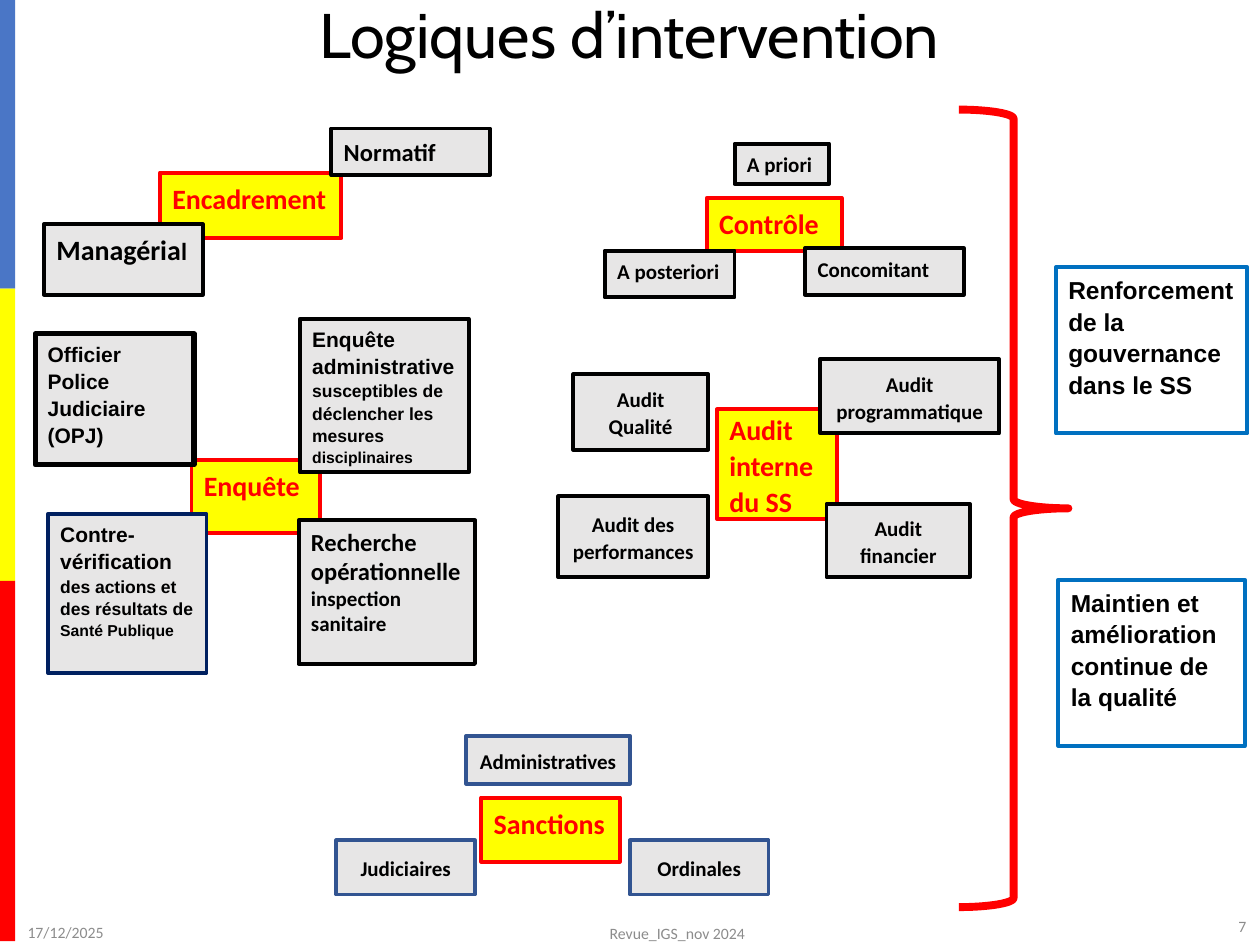
from pptx import Presentation
from pptx.dml.color import RGBColor
from pptx.enum.shapes import MSO_SHAPE
from pptx.enum.text import MSO_ANCHOR, MSO_AUTO_SIZE, PP_ALIGN
from pptx.util import Inches, Pt

RECT, BRACE = MSO_SHAPE.RECTANGLE, MSO_SHAPE.RIGHT_BRACE
TOP, MIDDLE = MSO_ANCHOR.TOP, MSO_ANCHOR.MIDDLE
LEFT, CENTER, RIGHT, JUSTIFY = PP_ALIGN.LEFT, PP_ALIGN.CENTER, PP_ALIGN.RIGHT, PP_ALIGN.JUSTIFY
NO_FIT = MSO_AUTO_SIZE.NONE

BLACK = RGBColor(0x00, 0x00, 0x00)
RED = RGBColor(0xFF, 0x00, 0x00)
YELLOW = RGBColor(0xFF, 0xFF, 0x00)
BLUE = RGBColor(0x4A, 0x76, 0xC6)
SKY = RGBColor(0x00, 0x70, 0xC0)
NAVY = RGBColor(0x00, 0x20, 0x60)
STEEL = RGBColor(0x32, 0x54, 0x91)
GREY = RGBColor(0xE7, 0xE6, 0xE6)
FOOTER_GREY = RGBColor(0x8C, 0x8C, 0x8C)

THEMES = [
    ("Encadrement", (1.27, 1.37, 1.44, 0.52), TOP),
    ("Contrôle", (5.61, 1.57, 1.07, 0.42), TOP),
    ("Enquête", (1.52, 3.65, 1.02, 0.58), TOP),
    ("Audit interne du SS", (5.69, 3.25, 0.95, 0.87), MIDDLE),
    ("Sanctions", (3.82, 6.33, 1.1, 0.51), TOP),
]
MANAGEMENT = [
    ([("Managéria", 16), ("l", 14)], (0.35, 1.78, 1.26, 0.56)),
    ([("Normatif", 14)], (2.63, 1.02, 1.26, 0.37)),
]
CONTROLS = [
    ("A priori", (5.83, 1.14, 0.75, 0.32)),
    ("Concomitant", (6.39, 1.97, 1.26, 0.37)),
    ("A posteriori", (4.8, 1.99, 1.03, 0.37)),
]
INQUIRIES = [
    ([("Officier Police Judiciaire (OPJ)", 12)], (0.28, 2.65, 1.26, 1.04), BLACK, 3),
    ([("Contre-vérification ", 12), ("des actions et des résultats de ", 10),
      ("Santé Publique", 9)], (0.38, 4.08, 1.26, 1.26), NAVY, 2.25),
    ([("Enquête administrative ", 12), ("susceptibles de déclencher les mesures ", 10),
      ("disciplinaires", 9)], (2.38, 2.53, 1.34, 1.22), BLACK, 2.25),
]
RESEARCH = [("Recherche opérationnelle ", 14), ("inspection sanitaire", 12)]
AUDITS = [
    ("Audit Qualité", (4.55, 2.97, 1.07, 0.6)),
    ("Audit des performances", (4.43, 3.94, 1.19, 0.64)),
    ("Audit financier", (6.56, 4, 1.14, 0.58)),
    ("Audit programmatique", (6.51, 2.85, 1.42, 0.59)),
]
SANCTIONS = [
    ("Judiciaires", (2.67, 6.67, 1.1, 0.43)),
    ("Ordinales", (5, 6.67, 1.1, 0.43)),
    ("Administratives", (3.7, 5.84, 1.3, 0.38)),
]
GOALS = [
    ("Renforcement de la gouvernance dans le SS", (8.38, 2.12, 1.52, 1.32)),
    ("Maintien et amélioration continue de la qualité", (8.4, 4.6, 1.48, 1.32)),
]
FOOTERS = [
    ("17/12/2025", (0.12, 7.2, 2.25, 0.4), LEFT),
    ("Revue_IGS_nov 2024", (3.43, 7.13, 3.89, 0.55), CENTER),
    ("7", (7.74, 7.15, 2.25, 0.4), RIGHT),
]


def write(sp, runs, size=12, font="Calibri", color=BLACK, bold=True, align=LEFT,
          anchor=TOP, spacing=1.07, after=8):
    """Write a string, or a list of (text, size) runs, as one paragraph."""
    tf = sp.text_frame
    tf.word_wrap = True
    tf.auto_size = NO_FIT
    tf.vertical_anchor = anchor
    p = tf.paragraphs[0]
    p.alignment = align
    p.line_spacing = spacing
    p.space_after = Pt(after)
    for text, points in [(runs, size)] if isinstance(runs, str) else runs:
        r = p.add_run()
        r.text = text
        r.font.size = Pt(points)
        r.font.name = font
        r.font.bold = bold
        r.font.color.rgb = color


def add_shape(s, kind, box, fill=None, line=None, width=2.25):
    """Add a preset shape without shadow."""
    sp = s.shapes.add_shape(kind, *map(Inches, box))
    sp.shadow.inherit = False
    if fill is None:
        sp.fill.background()
    else:
        sp.fill.solid()
        sp.fill.fore_color.rgb = fill
    if line is None:
        sp.line.fill.background()
    else:
        sp.line.color.rgb = line
        sp.line.width = Pt(width)
    return sp


def add_box(s, runs, box, fill=GREY, line=BLACK, width=2.25, **text_format):
    """Add an outlined rectangle with text."""
    write(add_shape(s, RECT, box, fill, line, width), runs, **text_format)


def add_title(s, text):
    """Place and fill the title placeholder."""
    title = s.shapes.title
    title.left, title.top, title.width, title.height = map(Inches, (0.69, 0.05, 8.61, 0.5))
    write(title, text, size=36, font="Cabin", bold=False, align=CENTER,
          anchor=MIDDLE, spacing=0.9, after=0)


def add_footers(s):
    """Add the date, the footer and the page number."""
    for text, box, align in FOOTERS:
        write(s.shapes.add_textbox(*map(Inches, box)), text, size=9, color=FOOTER_GREY,
              bold=False, align=align, anchor=MIDDLE, spacing=1, after=0)


def add_side_band(s):
    """Stack the three coloured bars on the left edge."""
    top = 0
    for color, height in [(BLUE, 2.29), (YELLOW, 2.32), (RED, 2.86)]:
        add_shape(s, RECT, (0, top, 0.12, height), color)
        top += height


def main():
    """Build the slide and save it."""
    prs = Presentation()
    prs.slide_width, prs.slide_height = Inches(10), Inches(7.5)
    s = prs.slides.add_slide(prs.slide_layouts[5])
    add_title(s, "Logiques d’intervention")
    add_footers(s)
    add_side_band(s)
    for text, box, anchor in THEMES:
        add_box(s, text, box, YELLOW, RED, size=16, color=RED, anchor=anchor)
    for text, box in MANAGEMENT + CONTROLS:
        add_box(s, text, box)
    for runs, box, line, width in INQUIRIES:
        add_box(s, runs, box, line=line, width=width, font="Arial")
    add_box(s, RESEARCH, (2.37, 4.13, 1.4, 1.14), align=JUSTIFY, spacing=1, after=0)
    for items, line in [(AUDITS, BLACK), (SANCTIONS, STEEL)]:
        for text, box in items:
            add_box(s, text, box, line=line, align=CENTER, anchor=MIDDLE)
    add_shape(s, BRACE, (7.61, 0.87, 0.87, 6.33), line=RED, width=4.5)
    for text, box in GOALS:
        add_box(s, text, box, fill=None, line=SKY, size=14, font="Arial")
    prs.save("out.pptx")


if __name__ == "__main__":
    main()
